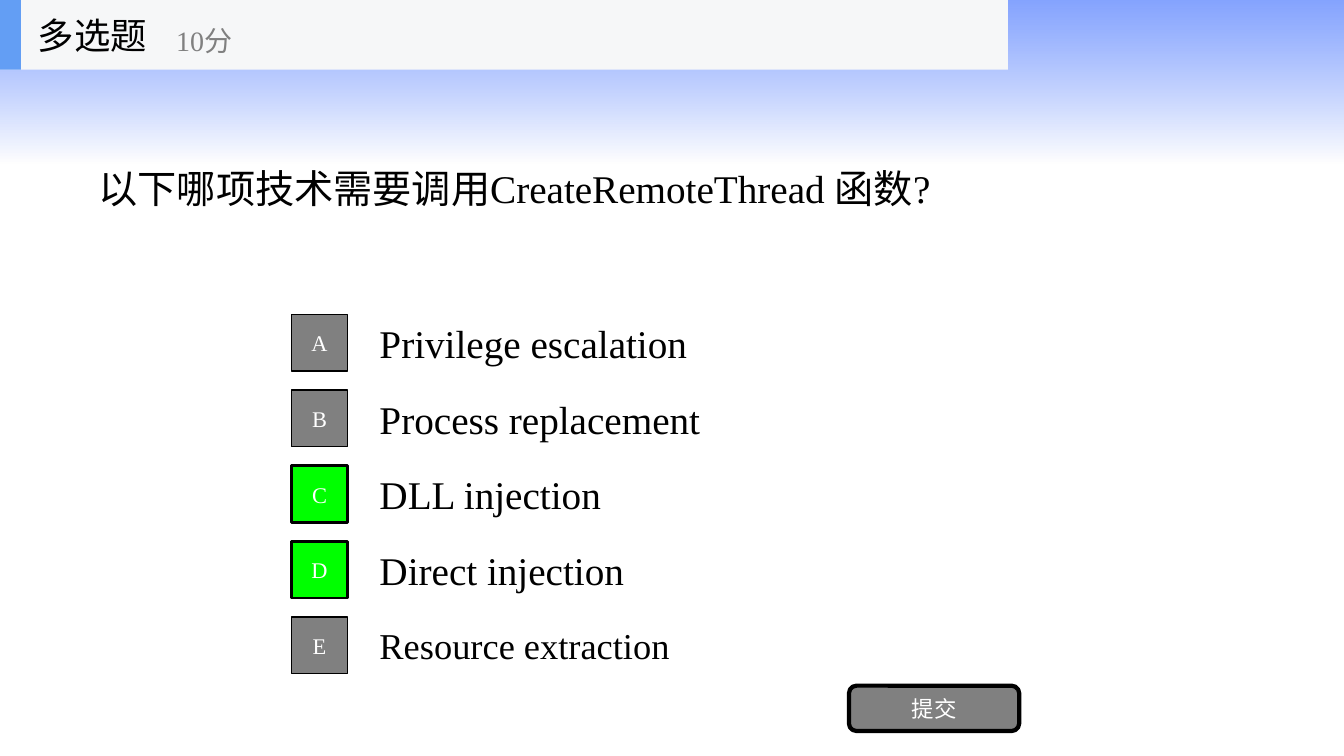
from lxml import etree
from pptx import Presentation
from pptx.dml.color import RGBColor
from pptx.enum.shapes import MSO_SHAPE
from pptx.enum.text import MSO_ANCHOR, PP_ALIGN
from pptx.oxml.ns import qn
from pptx.util import Inches, Pt

RECT, ROUND = MSO_SHAPE.RECTANGLE, MSO_SHAPE.ROUNDED_RECTANGLE
MIDDLE, LEFT, CENTER = MSO_ANCHOR.MIDDLE, PP_ALIGN.LEFT, PP_ALIGN.CENTER
WIDTH, HEIGHT = 13.33, 7.5
COL, ROW = WIDTH / 48, HEIGHT / 10
FONT = "Times New Roman"
BLACK, WHITE, GRAY, GREEN = "000000", "FFFFFF", "808080", "00FF00"
OPTIONS = [
    ("A", "Privilege escalation", False, 28),
    ("B", "Process replacement", False, 28),
    ("C", "DLL injection", True, 28),
    ("D", "Direct injection", True, 28),
    ("E", "Resource extraction", False, 26),
]


def rgb(value):
    return RGBColor.from_string(value)


def grid(col, row, cols, rows):
    return Inches(col * COL), Inches(row * ROW), Inches(cols * COL), Inches(rows * ROW)


def write(s, text, size, color, align):
    tf = s.text_frame
    tf.word_wrap = True
    tf.vertical_anchor = MIDDLE
    p = tf.paragraphs[0]
    p.text = text
    p.alignment = align
    p.font.name = FONT
    p.font.size = Pt(size)
    p.font.color.rgb = rgb(color)


def add_label(slide, cell, text, size, color=BLACK):
    write(slide.shapes.add_textbox(*grid(*cell)), text, size, color, LEFT)


def add_block(slide, cell, color, kind=RECT):
    s = slide.shapes.add_shape(kind, *grid(*cell))
    s.shadow.inherit = False
    s.fill.solid()
    s.fill.fore_color.rgb = rgb(color)
    s.line.fill.background()
    return s


def add_button(slide, cell, text, color, border, kind=RECT):
    s = add_block(slide, cell, color, kind)
    s.line.color.rgb = rgb(BLACK)
    s.line.width = Pt(border)
    write(s, text, 16, WHITE, CENTER)


def add_fade(slide, cell, stops):
    s = add_block(slide, cell, WHITE)
    s.fill.gradient()
    s.fill.gradient_angle = 270
    for stop, (color, _) in zip(s.fill.gradient_stops, stops):
        stop.color.rgb = rgb(color)
    for clr, (_, opacity) in zip(s._element.spPr.iter(qn("a:srgbClr")), stops):
        etree.SubElement(clr, qn("a:alpha")).set("val", str(opacity * 1000))


def add_option(slide, index, letter, text, correct, size):
    add_label(slide, (13.2, 4.07 + index, 25.2, 0.93), text, size)
    color, border = (GREEN, 2) if correct else (GRAY, 1)
    add_button(slide, (10.4, 4.16 + index, 2.02, 0.75), letter, color, border)


def add_header(slide):
    add_block(slide, (0, 0, 36, 0.92), "F6F7F8")
    add_block(slide, (0, 0, 0.75, 0.92), "639EF4")
    add_label(slide, (1, 0, 7.5, 0.92), "多选题", 26)
    add_label(slide, (5.94, 0.16, 9, 0.75), "10分", 20, GRAY)


def main():
    prs = Presentation()
    prs.slide_width, prs.slide_height = Inches(WIDTH), Inches(HEIGHT)
    slide = prs.slides.add_slide(prs.slide_layouts[6])
    add_fade(slide, (0, 0, 48, 2.16), [("3366FF", 60), (WHITE, 70)])
    add_label(slide, (3.17, 0.92, 42, 3.12), "以下哪项技术需要调用CreateRemoteThread 函数?", 28)
    for index, option in enumerate(OPTIONS):
        add_option(slide, index, *option)
    add_button(slide, (30.32, 9.07, 6.08, 0.6), "提交", GRAY, 3, ROUND)
    add_header(slide)
    prs.save("out.pptx")


if __name__ == "__main__":
    main()
